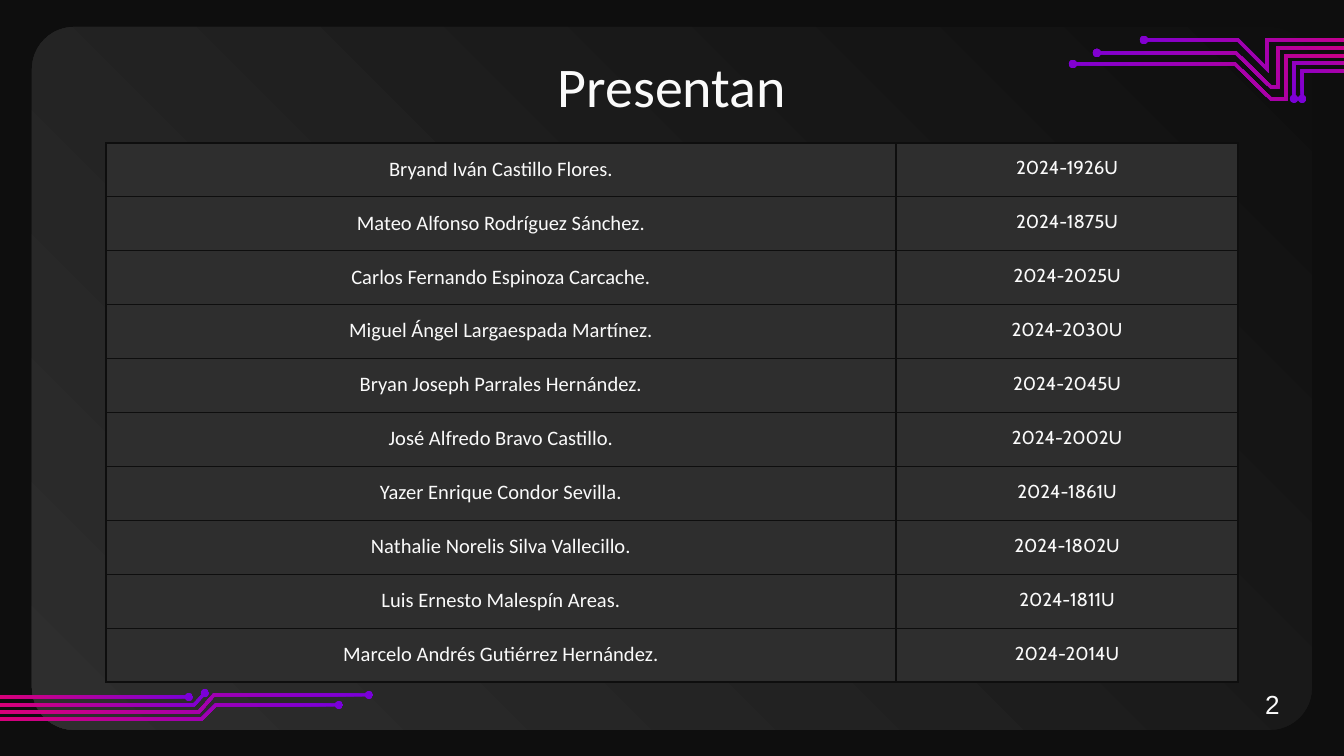
from math import asin, atan2, cos, hypot, pi, sin

from lxml import etree
from pptx import Presentation
from pptx.dml.color import RGBColor
from pptx.enum.shapes import MSO_SHAPE
from pptx.enum.text import MSO_ANCHOR, MSO_AUTO_SIZE, PP_ALIGN
from pptx.oxml.ns import qn
from pptx.util import Pt

ROUND_RECT = MSO_SHAPE.ROUNDED_RECTANGLE
TOP = MSO_ANCHOR.TOP
NO_AUTOFIT = MSO_AUTO_SIZE.NONE
LEFT, CENTER = PP_ALIGN.LEFT, PP_ALIGN.CENTER

EMU_PER_PX = 914400 / 134.4
TITLE_ONLY = 5
BLACK, DARK, GREY, WHITE = "0E0E0E", "0F0F0F", "2E2E2E", "FAFAFA"
PURPLE, PINK = "7800DA", "DA0078"
INSET = 14
HALF_TRACE = 1.5
DOT_RADIUS = 4
DOT_STEPS = 16
TO_TOP_RIGHT, TO_BOTTOM_LEFT = 45, 225
BLEED = 1409

MEMBERS = [
    ("Bryand Iván Castillo Flores.", "2024-1926U"),
    ("Mateo Alfonso Rodríguez Sánchez.", "2024-1875U"),
    ("Carlos Fernando Espinoza Carcache.", "2024-2025U"),
    ("Miguel Ángel Largaespada Martínez.", "2024-2030U"),
    ("Bryan Joseph Parrales Hernández.", "2024-2045U"),
    ("José Alfredo Bravo Castillo.", "2024-2002U"),
    ("Yazer Enrique Condor Sevilla.", "2024-1861U"),
    ("Nathalie Norelis Silva Vallecillo.", "2024-1802U"),
    ("Luis Ernesto Malespín Areas.", "2024-1811U"),
    ("Marcelo Andrés Gutiérrez Hernández.", "2024-2014U"),
]

BOTTOM_TRACES = [
    [(339, 705), (216, 705), (202, 719), (0, 719)],
    [(205, 693), (194, 705), (0, 705)],
    [(189, 697), (0, 697)],
    [(369, 695), (214, 695), (199, 712), (0, 712)],
]
TOP_TRACES = [
    [(1302, 99), (1302, 71), (BLEED, 71)],
    [(1294, 99), (1294, 63), (BLEED, 63)],
    [(1144, 40), (1238, 40), (1267, 69), (1267, 40), (BLEED, 40)],
    [(1073, 64), (1235, 64), (1271, 99), (1286, 99), (1286, 56), (BLEED, 56)],
    [(1097, 53), (1236, 53), (1271, 87), (1278, 87), (1278, 48), (BLEED, 48)],
]


def px(value):
    return round(value * EMU_PER_PX)


def color(value):
    return RGBColor.from_string(value)


def fill_gradient(shape, colors, angle):
    shape.shadow.inherit = False
    shape.line.fill.background()
    shape.fill.gradient()
    shape.fill.gradient_angle = angle
    for stop, position, value in zip(shape.fill.gradient_stops, (0, 1), colors):
        stop.position = position
        stop.color.rgb = color(value)


def add_panel(page):
    panel = page.shapes.add_shape(ROUND_RECT, px(32), px(27), px(1280), px(703))
    panel.adjustments[0] = 0.06
    fill_gradient(panel, (DARK, GREY), TO_BOTTOM_LEFT)


def trace_outline(route):
    normals = []
    for (x1, y1), (x2, y2) in zip(route, route[1:]):
        length = hypot(x2 - x1, y2 - y1)
        normals.append(((y1 - y2) / length, (x2 - x1) / length))
    left, right = [], []
    for (x, y), (ax, ay), (bx, by) in zip(route[1:], normals, normals[1:] + normals[-1:]):
        miter = HALF_TRACE / (1 + ax * bx + ay * by)
        dx, dy = (ax + bx) * miter, (ay + by) * miter
        left.append((x + dx, y + dy))
        right.append((x - dx, y - dy))
    (x, y), (next_x, next_y) = route[:2]
    gap = asin(HALF_TRACE / DOT_RADIUS)
    first = atan2(next_y - y, next_x - x) + gap
    step = (2 * pi - 2 * gap) / DOT_STEPS
    angles = [first + step * i for i in range(DOT_STEPS + 1)]
    dot = [(x + DOT_RADIUS * cos(a), y + DOT_RADIUS * sin(a)) for a in angles]
    return dot + right + left[::-1]


def add_trace(page, route, angle):
    points = [(px(x), px(y)) for x, y in trace_outline(route)]
    builder = page.shapes.build_freeform(*points[0], scale=1.0)
    builder.add_line_segments(points[1:], close=True)
    fill_gradient(builder.convert_to_shape(), (PURPLE, PINK), angle)


def write(frame, text, size, font, align):
    para = frame.paragraphs[0]
    para.alignment = align
    span = para.add_run()
    span.text = text
    span.font.size = Pt(size)
    span.font.name = font
    span.font.color.rgb = color(WHITE)
    return para


def set_insets(holder):
    holder.margin_left = holder.margin_right = px(INSET)
    holder.margin_top = holder.margin_bottom = px(INSET)
    holder.vertical_anchor = TOP


def set_title(page, text):
    title = page.shapes.title
    title.left, title.top, title.width, title.height = px(106), px(38), px(1132), px(84)
    frame = title.text_frame
    frame.auto_size = NO_AUTOFIT
    frame.word_wrap = True
    set_insets(frame)
    write(frame, text, 30, "Calibri", CENTER)
    bring_to_front(title)


def bring_to_front(shape):
    element = shape.element
    element.getparent().append(element)


def add_borders(cell):
    properties = cell._tc.get_or_add_tcPr()
    for side in ("a:lnL", "a:lnR", "a:lnT", "a:lnB"):
        line = etree.SubElement(properties, qn(side), w=str(Pt(0.75)))
        solid = etree.SubElement(line, qn("a:solidFill"))
        etree.SubElement(solid, qn("a:srgbClr"), val=BLACK)


def format_cell(cell, text, size, font):
    add_borders(cell)
    cell.fill.solid()
    cell.fill.fore_color.rgb = color(GREY)
    set_insets(cell)
    return write(cell.text_frame, text, size, font, CENTER)


def add_member_table(page):
    frame = page.shapes.add_table(len(MEMBERS), 2, px(106), px(143), px(1132), px(539))
    table = frame.table
    table.first_row = table.horz_banding = False
    for column, width in zip(table.columns, (790, 342)):
        column.width = px(width)
    for i, (name, code) in enumerate(MEMBERS):
        table.rows[i].height = px(54 if i else 53)
        format_cell(table.cell(i, 0), name, 11, "Calibri")
        format_cell(table.cell(i, 1), code, 10, "Cabin").space_after = Pt(16)


def add_page_number(page, number):
    box = page.shapes.add_textbox(px(1252), px(682), px(44), px(45))
    box.text_frame.word_wrap = True
    write(box.text_frame, number, 14, "Arial", LEFT)


def main():
    deck = Presentation()
    deck.slide_width, deck.slide_height = px(1344), px(756)
    page = deck.slides.add_slide(deck.slide_layouts[TITLE_ONLY])
    page.background.fill.solid()
    page.background.fill.fore_color.rgb = color(BLACK)
    add_panel(page)
    for routes, angle in ((BOTTOM_TRACES, TO_BOTTOM_LEFT), (TOP_TRACES, TO_TOP_RIGHT)):
        for route in routes:
            add_trace(page, route, angle)
    set_title(page, "Presentan")
    add_member_table(page)
    add_page_number(page, "2")
    deck.save("out.pptx")


if __name__ == "__main__":
    main()
